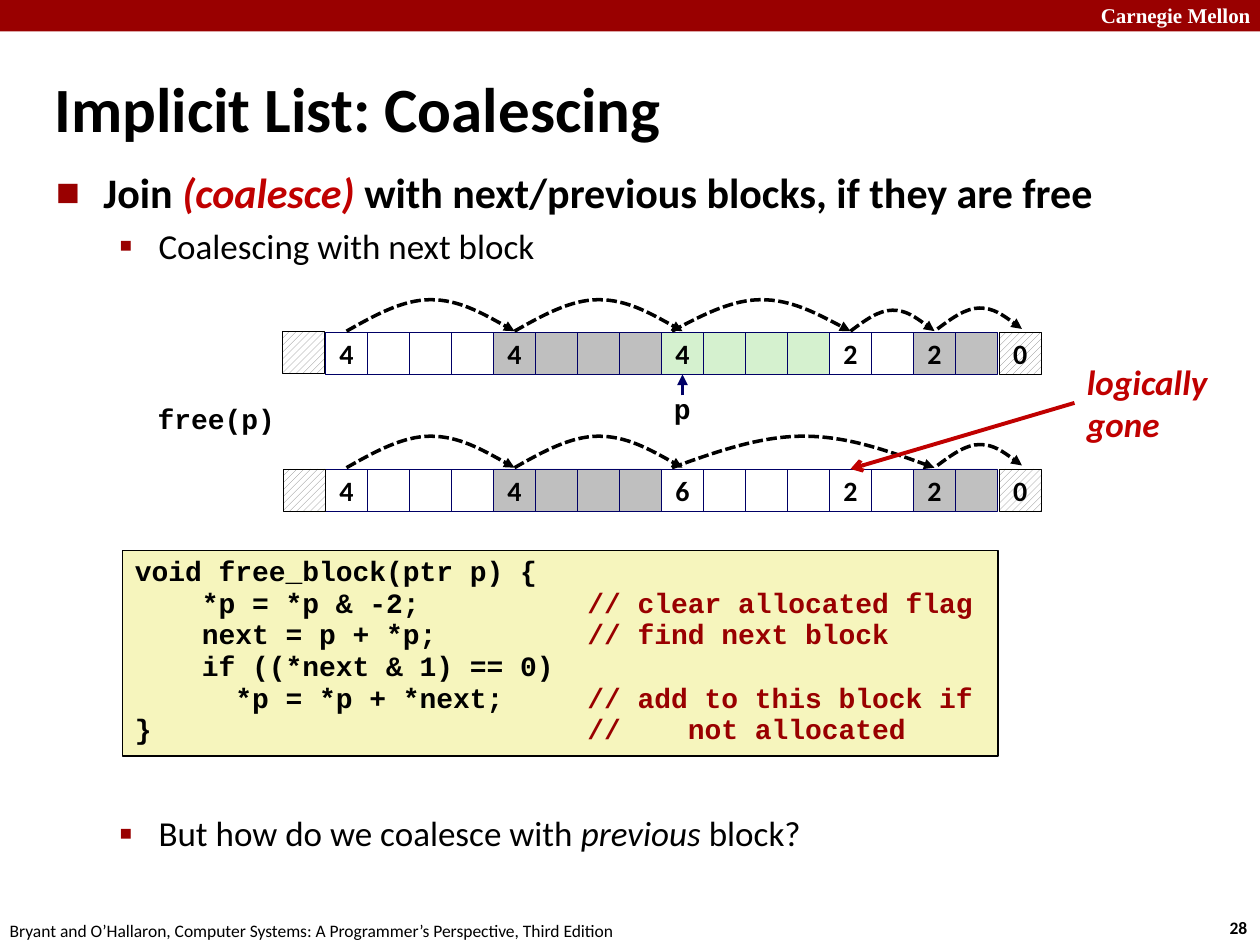
"""Build the slide on coalescing free blocks in an implicit list."""
from lxml.etree import SubElement
from pptx import Presentation
from pptx.dml.color import RGBColor
from pptx.enum.dml import MSO_LINE, MSO_PATTERN
from pptx.enum.shapes import MSO_CONNECTOR, MSO_SHAPE
from pptx.enum.text import MSO_ANCHOR, MSO_AUTO_SIZE, PP_ALIGN
from pptx.oxml.ns import qn
from pptx.util import Pt

BLACK = RGBColor(0x00, 0x00, 0x00)
WHITE = RGBColor(0xFF, 0xFF, 0xFF)
MAROON = RGBColor(0x99, 0x00, 0x00)
RED = RGBColor(0xC0, 0x00, 0x00)
NAVY = RGBColor(0x00, 0x00, 0x66)
GRAY = RGBColor(0xBF, 0xBF, 0xBF)
SILVER = RGBColor(0xC0, 0xC0, 0xC0)
HATCH = RGBColor(0x80, 0x80, 0x80)
GREEN = RGBColor(0xD5, 0xF1, 0xCF)
CREAM = RGBColor(0xF6, 0xF5, 0xBD)

SANS, MONO, SERIF = "Calibri", "Courier New", "Times New Roman"

LABELS = {
    "university": (["Carnegie Mellon"], (622, -2, 103, 22), SERIF, 12, WHITE, True, False),
    "number": (["28"], (695.5, 520.5, 27, 19.5), SANS, 10, BLACK, True, False),
    "footer": (["Bryant and O’Hallaron, Computer Systems: A Programmer’s Perspective, Third Edition"],
               (-1.5, 522, 366, 19.5), SANS, 10, BLACK, False, False),
    "title": (["Implicit List: Coalescing"], (24, 36, 533, 45), SANS, 36, BLACK, True, False),
    "call": (["free(p)"], (83, 226, 82, 26), MONO, 16, BLACK, True, False),
    "pointer": (["p"], (378, 220, 24, 26), MONO, 16, BLACK, True, False),
    "gone": (["logically", "gone"], (614, 202.5, 83.5, 55.5), SANS, 20, RED, True, True),
}

BULLETS = [
    ([("Join ", False, BLACK), ("(coalesce) ", True, RED),
      ("with next/previous blocks, if they are free", False, BLACK)],
     24, True, 27, 27, 0.83, 0, "■", 60),
    ([("Coalescing with next block", False, BLACK)], 20, False, 58.5, 22.5, 0.88, 7.5, "▪", 110),
    ([("But how do we coalesce with ", False, BLACK), ("previous", True, BLACK),
      (" block?", False, BLACK)], 20, False, 58.5, 22.5, 0.88, 314.5, "▪", 110),
]

CODE = [
    ("void free_block(ptr p) {", ""),
    ("    *p = *p & -2;", "// clear allocated flag"),
    ("    next = p + *p;", "// find next block"),
    ("    if ((*next & 1) == 0)", ""),
    ("      *p = *p + *next;", "// add to this block if"),
    ("}", "//    not allocated"),
]
COMMENT_COLUMN = 27

HEAPS = {
    "before": (190, (-24.5, -0.5),
               [(4, "4", WHITE), (4, "4", GRAY), (4, "4", GREEN), (2, "2", WHITE), (2, "2", SILVER)],
               [(198, 294, 18), (294, 390, 18), (384, 486, 18), (486, 534, 12)]),
    "after": (268, (-24, 0),
              [(4, "4", WHITE), (4, "4", GRAY), (4, "6", WHITE), (2, "2", WHITE), (2, "2", SILVER)],
              [(198, 294, 18), (294, 390, 18), (384, 534, 18)]),
}
LAST_ARC = (535.7, 584, 12)
HEAP_LEFT, WORD = 186, 24


def style(font, name, size, color, bold=False, italic=False):
    font.name, font.size, font.bold, font.italic = name, Pt(size), bold, italic
    font.color.rgb = color


def add_label(page, lines, place, *look):
    box = page.shapes.add_textbox(*map(Pt, place))
    frame = box.text_frame
    frame.word_wrap = False
    frame.auto_size = MSO_AUTO_SIZE.SHAPE_TO_FIT_TEXT
    frame.text = "\n".join(lines)
    for para in frame.paragraphs:
        style(para.font, *look)
    return box


def add_box(page, place, fill, line=None, width=0.25):
    box = page.shapes.add_shape(MSO_SHAPE.RECTANGLE, *map(Pt, place))
    box.shadow.inherit = False
    if fill == HATCH:
        box.fill.patterned()
        box.fill.pattern = MSO_PATTERN.WIDE_UPWARD_DIAGONAL
        box.fill.fore_color.rgb, box.fill.back_color.rgb = HATCH, WHITE
    else:
        box.fill.solid()
        box.fill.fore_color.rgb = fill
    if line is None:
        box.line.fill.background()
    else:
        box.line.color.rgb, box.line.width = line, Pt(width)
    return box


def add_word(page, left, top, fill, line, header=""):
    box = add_box(page, (left, top, WORD, WORD), fill, line)
    if header:
        frame = box.text_frame
        frame.word_wrap = False
        frame.vertical_anchor = MSO_ANCHOR.MIDDLE
        frame.margin_left = frame.margin_right = frame.margin_top = frame.margin_bottom = 0
        para = frame.paragraphs[0]
        para.text, para.alignment = header, PP_ALIGN.CENTER
        style(para.font, SANS, 16, BLACK, True)
    return box


def add_head(shape, kind):
    SubElement(shape.element.spPr.find(qn("a:ln")), qn("a:tailEnd"), type=kind)


def add_arc(page, start, end, base, height):
    step, top = (end - start) / 6, base - height
    heights = [base - height / 2, top, top, top, base - height / 2, base]
    points = [(Pt(start + step * (i + 1)), Pt(y)) for i, y in enumerate(heights)]
    builder = page.shapes.build_freeform(Pt(start), Pt(base))
    builder.add_line_segments(points, close=False)
    arc = builder.convert_to_shape()
    outline = next(arc.element.iter(qn("a:path")))
    segments = outline.findall(qn("a:lnTo"))
    for first in (0, 3):
        curve = SubElement(outline, qn("a:cubicBezTo"))
        for segment in segments[first:first + 3]:
            curve.append(segment[0])
            outline.remove(segment)
    arc.shadow.inherit = False
    arc.fill.background()
    arc.line.color.rgb, arc.line.width = BLACK, Pt(2)
    arc.line.dash_style = MSO_LINE.SQUARE_DOT
    add_head(arc, "triangle")


def add_heap(page, top, hatch_offset, blocks, arcs):
    words = []
    for size, header, fill in blocks:
        for index in range(size):
            left = HEAP_LEFT + WORD * len(words)
            words.append(add_word(page, left, top, fill, NAVY, "" if index else header))
    add_word(page, HEAP_LEFT + hatch_offset[0], top + hatch_offset[1], HATCH, BLACK)
    add_word(page, HEAP_LEFT + WORD * len(words) + 1, top, HATCH, BLACK, "0")
    for start, end, height in arcs:
        add_arc(page, start, end, top - 0.75, height)
    add_arc(page, *LAST_ARC[:2], top - 2, LAST_ARC[2])
    return words


def add_arrow(page, start, end, color, width, head):
    arrow = page.shapes.add_connector(MSO_CONNECTOR.STRAIGHT, *map(Pt, start + end))
    arrow.line.color.rgb, arrow.line.width = color, Pt(width)
    add_head(arrow, head)
    SubElement(arrow.element.spPr, qn("a:effectLst"))
    return arrow


def add_bullets(page):
    frame = page.shapes.add_textbox(Pt(25), Pt(96.5), Pt(654.5), Pt(432)).text_frame
    frame.word_wrap = True
    for index, (runs, size, bold, margin, hang, spacing, before, mark, percent) in enumerate(BULLETS):
        para = frame.add_paragraph() if index else frame.paragraphs[0]
        props = para._p.get_or_add_pPr()
        props.set("marL", str(Pt(margin)))
        props.set("indent", str(-Pt(hang)))
        SubElement(SubElement(props, qn("a:buClr")), qn("a:srgbClr"), val=str(MAROON))
        SubElement(props, qn("a:buSzPct"), val=str(percent * 1000))
        SubElement(props, qn("a:buFont"), typeface=SANS)
        SubElement(props, qn("a:buChar"), char=mark)
        para.line_spacing, para.space_before = spacing, Pt(before)
        for text, italic, color in runs:
            span = para.add_run()
            span.text = text
            style(span.font, SANS, size, color, bold, italic)


def add_code(page):
    frame = add_box(page, (70, 314.5, 500.5, 117.5), CREAM, BLACK, 1).text_frame
    frame.word_wrap = True
    frame.vertical_anchor = MSO_ANCHOR.TOP
    para = frame.paragraphs[0]
    para.alignment, para.line_spacing = PP_ALIGN.LEFT, 0.94
    for index, (code, comment) in enumerate(CODE):
        if index:
            para.add_line_break()
        parts = [(code.ljust(COMMENT_COLUMN), BLACK), (comment, MAROON)] if comment else [(code, BLACK)]
        for text, color in parts:
            span = para.add_run()
            span.text = text
            style(span.font, MONO, 16, color, True)


def main():
    deck = Presentation()
    deck.slide_width, deck.slide_height = Pt(720), Pt(540)
    page = deck.slides.add_slide(deck.slide_layouts[6])
    add_box(page, (0, 0, 720, 18), MAROON)
    labels = {name: add_label(page, *label) for name, label in LABELS.items()}
    add_bullets(page)
    add_code(page)
    heaps = {name: add_heap(page, *heap) for name, heap in HEAPS.items()}
    add_arrow(page, (390, 226), (390, 214), NAVY, 2, "triangle").end_connect(heaps["before"][8], 2)
    gone = add_arrow(page, (614, 230), (486, 268), RED, 2.25, "arrow")
    gone.begin_connect(labels["gone"], 1)
    gone.end_connect(heaps["after"][12], 0)
    deck.save("out.pptx")


if __name__ == "__main__":
    main()
